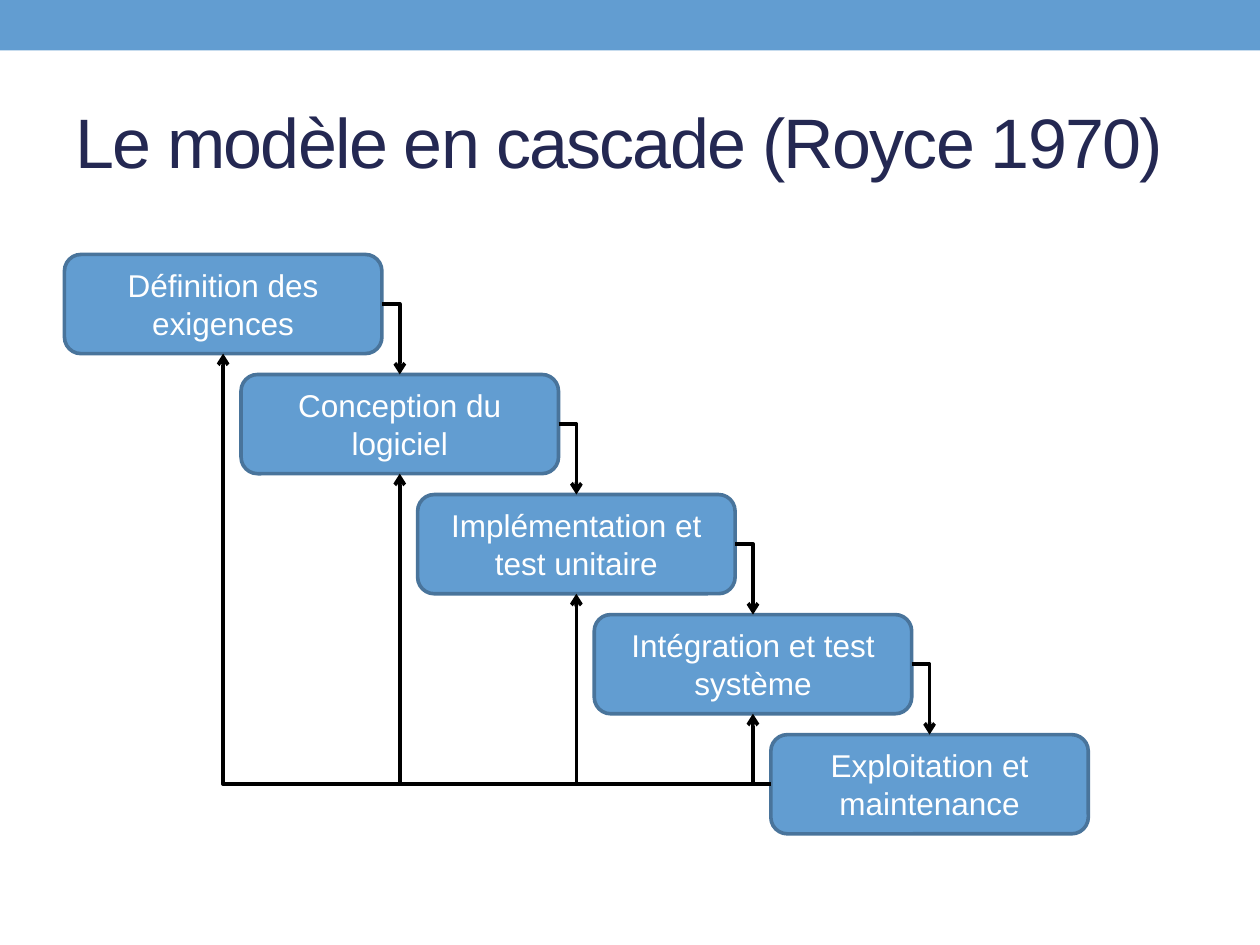
from lxml.etree import SubElement
from pptx import Presentation
from pptx.dml.color import RGBColor
from pptx.enum.shapes import MSO_CONNECTOR as Connector, MSO_SHAPE as Shape
from pptx.enum.text import MSO_ANCHOR as Anchor, PP_ALIGN as Align
from pptx.oxml.ns import qn
from pptx.util import Cm, Pt

# Content
TITLE = "Le modèle en cascade (Royce 1970)"
STAGES = [
    "Définition des exigences",
    "Conception du logiciel",
    "Implémentation et test unitaire",
    "Intégration et test système",
    "Exploitation et maintenance",
]

# Style
FONT = "Arial"
BLUE = RGBColor(0x62, 0x9D, 0xD1)
EDGE = RGBColor(0x49, 0x74, 0x9B)
NAVY = RGBColor(0x24, 0x28, 0x52)
WHITE = RGBColor(0xFF, 0xFF, 0xFF)
BLACK = RGBColor(0x00, 0x00, 0x00)
LINE_WIDTH = Pt(2.08)

# Staircase geometry, in centimetres
LEFT, TOP = 1.3, 5.13
STEP_X, STEP_Y = 3.56, 2.42
BOX_WIDTH, BOX_HEIGHT = 6.4, 2.0

# Connection sites of a rectangle
SITE_TOP, SITE_LEFT, SITE_BOTTOM, SITE_RIGHT = range(4)


def write(box, text, size, color, align):
    frame = box.text_frame
    frame.word_wrap = True
    frame.vertical_anchor = Anchor.MIDDLE
    para = frame.paragraphs[0]
    para.alignment = align
    span = para.add_run()
    span.text = text
    span.font.name = FONT
    span.font.size = Pt(size)
    span.font.color.rgb = color
    return span


def add_block(page, kind, left, top, width, height):
    block = page.shapes.add_shape(kind, Cm(left), Cm(top), Cm(width), Cm(height))
    block.shadow.inherit = False
    block.fill.solid()
    block.fill.fore_color.rgb = BLUE
    return block


def site_point(box, site):
    middle_x = box.left + box.width // 2
    middle_y = box.top + box.height // 2
    return {
        SITE_TOP: (middle_x, box.top),
        SITE_LEFT: (box.left, middle_y),
        SITE_BOTTOM: (middle_x, box.top + box.height),
        SITE_RIGHT: (box.left + box.width, middle_y),
    }[site]


def add_elbow_arrow(page, start, start_site, end, end_site):
    arrow = page.shapes.add_connector(
        Connector.ELBOW, *site_point(start, start_site), *site_point(end, end_site)
    )
    arrow.begin_connect(start, start_site)
    arrow.end_connect(end, end_site)
    arrow.line.color.rgb = BLACK
    arrow.line.width = LINE_WIDTH
    # One bend, an open arrowhead and no shadow
    properties = arrow._element.spPr
    properties.find(qn("a:prstGeom")).set("prst", "bentConnector2")
    SubElement(properties.find(qn("a:ln")), qn("a:tailEnd"), type="arrow")
    SubElement(properties, qn("a:effectLst"))


def main():
    deck = Presentation()
    deck.slide_width, deck.slide_height = Cm(25.4), Cm(19.05)
    page = deck.slides.add_slide(deck.slide_layouts[6])

    # Top band and title
    band = add_block(page, Shape.RECTANGLE, 0, 0, 25.4, 1.02)
    band.line.fill.background()
    title = page.shapes.add_textbox(Cm(1.27), Cm(1.47), Cm(22.86), Cm(2.74))
    span = write(title, TITLE, 40, NAVY, Align.LEFT)
    span.font._element.set("spc", "-100")

    # Stages, each one step right and down
    boxes = []
    for index, stage in enumerate(STAGES):
        box = add_block(page, Shape.ROUNDED_RECTANGLE, LEFT + index * STEP_X,
                        TOP + index * STEP_Y, BOX_WIDTH, BOX_HEIGHT)
        box.line.color.rgb = EDGE
        box.line.width = LINE_WIDTH
        write(box, stage, 18, WHITE, Align.CENTER)
        boxes.append(box)

    # Forward flow between neighbours, feedback from the last stage
    for box, following in zip(boxes, boxes[1:]):
        add_elbow_arrow(page, box, SITE_RIGHT, following, SITE_TOP)
    for box in boxes[:-1]:
        add_elbow_arrow(page, boxes[-1], SITE_LEFT, box, SITE_BOTTOM)

    deck.save("out.pptx")


if __name__ == "__main__":
    main()
